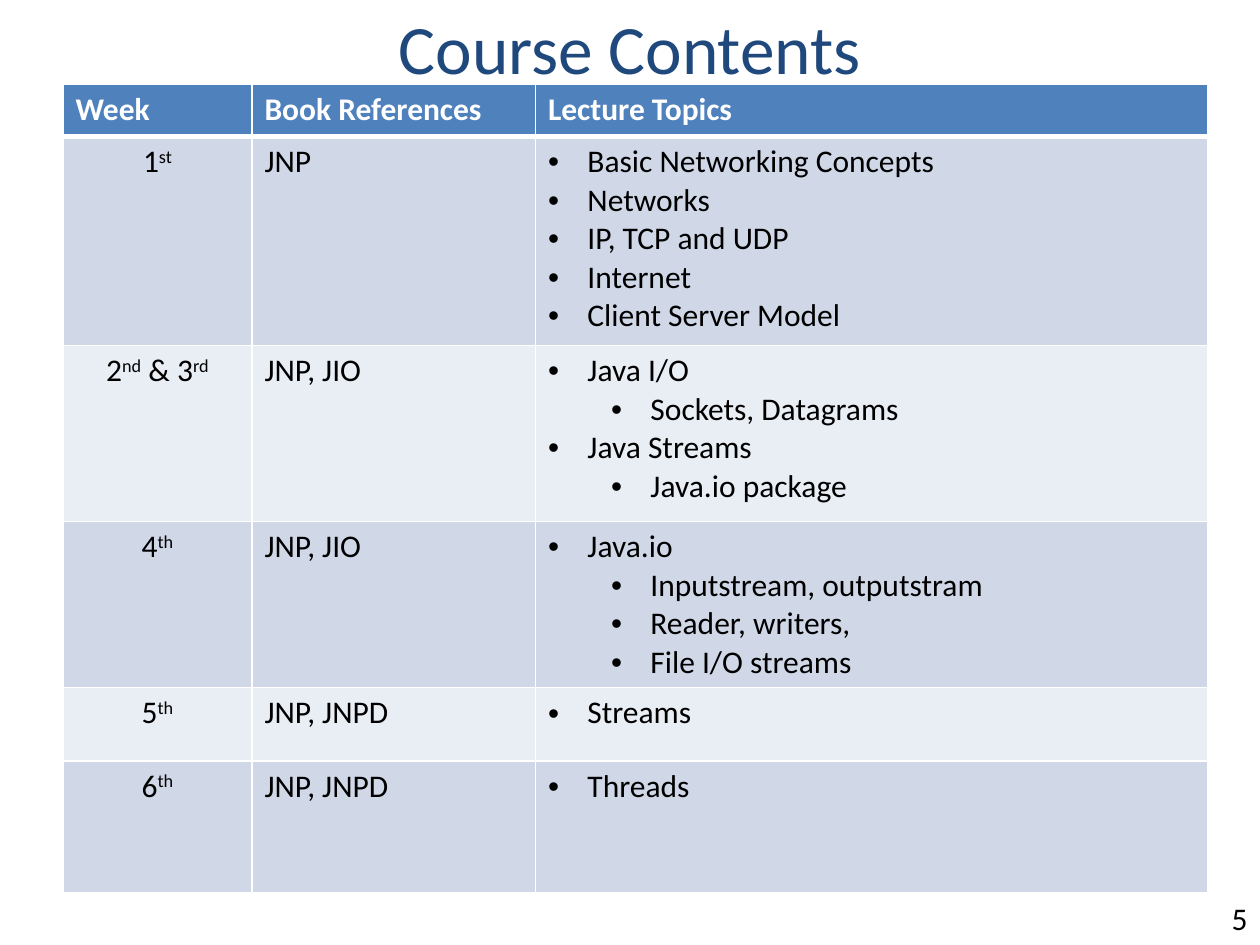
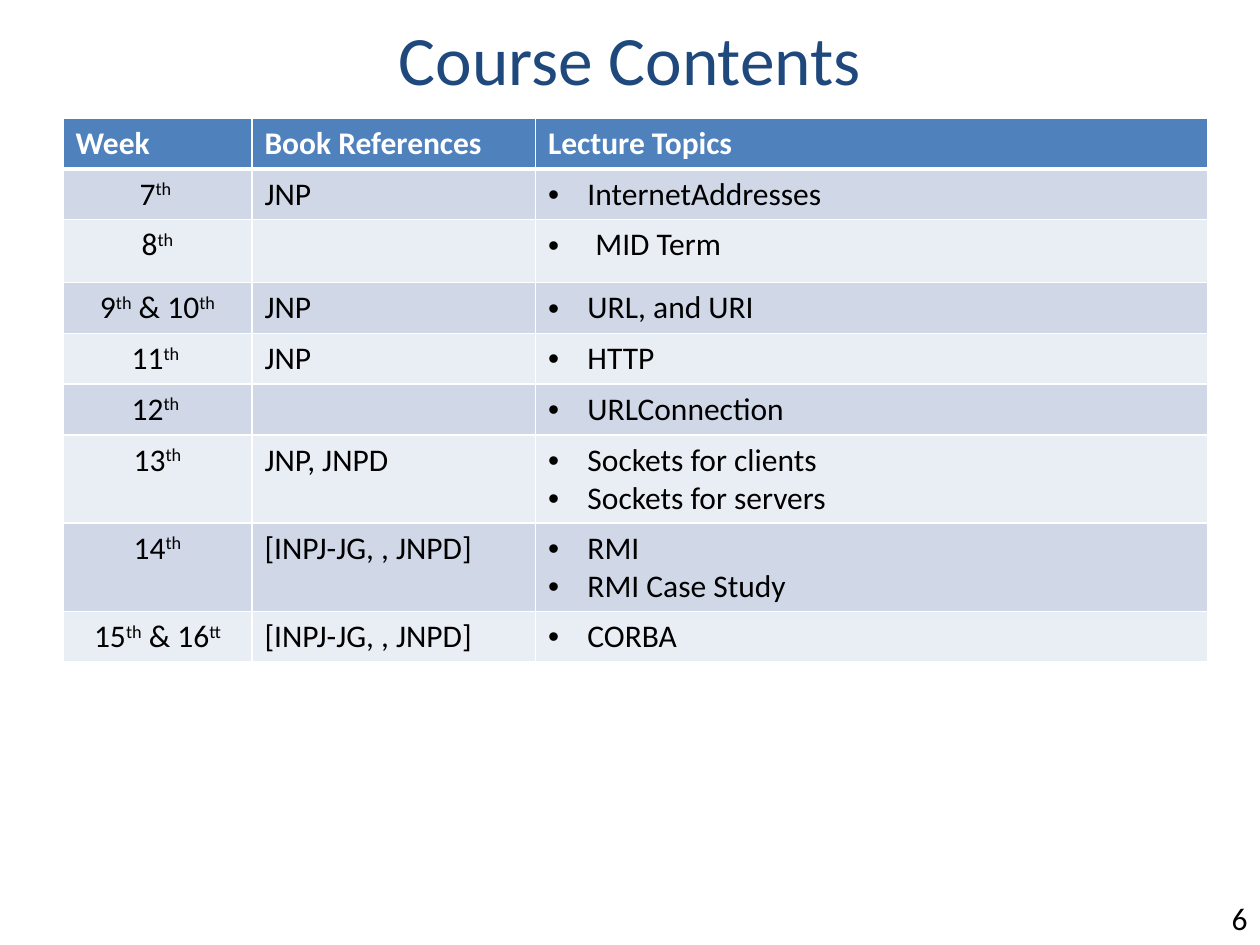
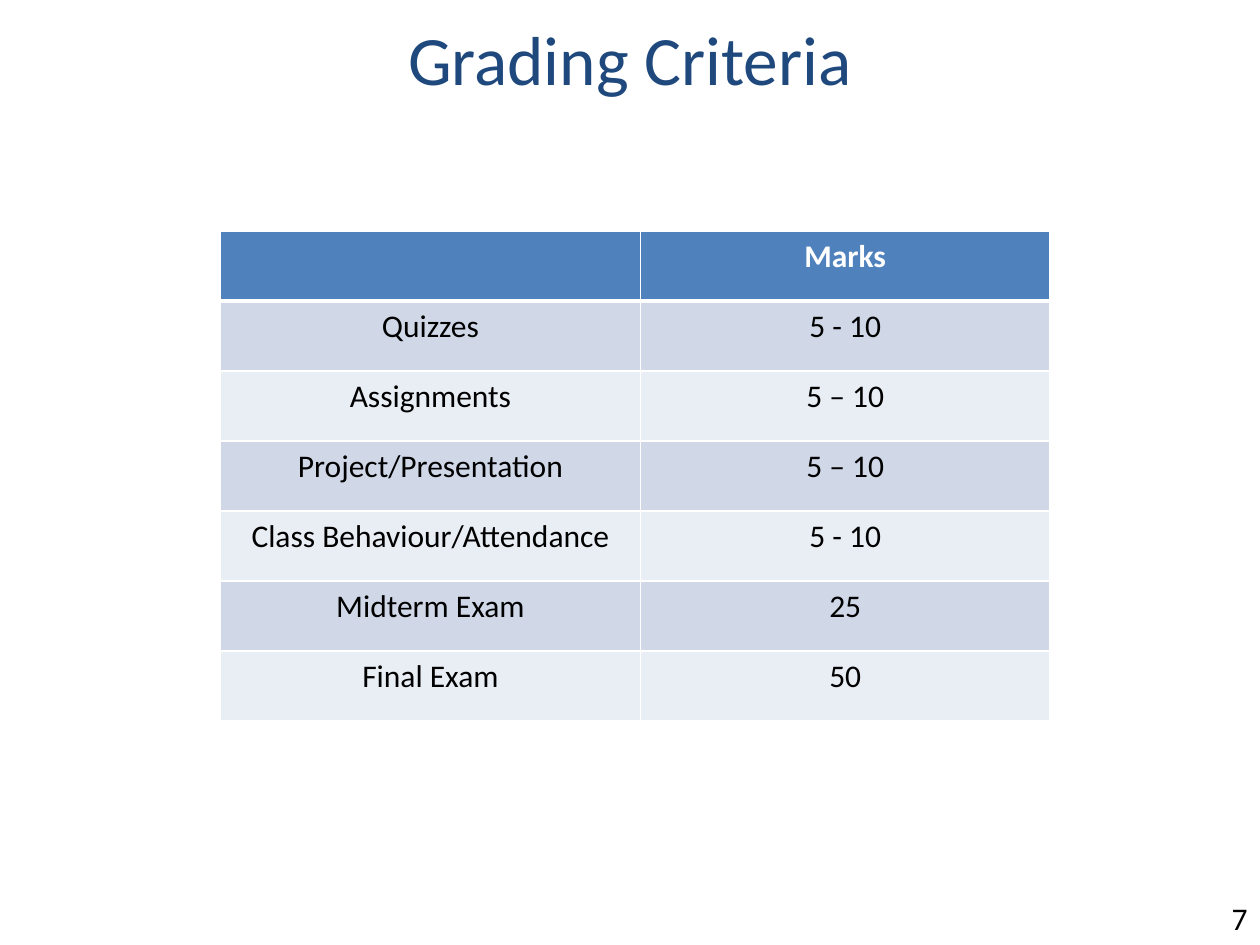
from dataclasses import dataclass
from typing import NamedTuple

from lxml.etree import SubElement
from pptx import Presentation
from pptx.dml.color import RGBColor
from pptx.enum.text import MSO_ANCHOR, PP_ALIGN
from pptx.oxml.ns import qn
from pptx.util import Emu, Pt

SCALE = 6350  # EMU per px, 144 px to the inch


@dataclass(frozen=True)
class Theme:
    font: str = "Calibri"
    title: str = "1F497D"
    text: str = "000000"
    head: str = "4F81BD"
    light: str = "FFFFFF"
    bands: tuple[str, str] = ("D0D8E8", "E9EDF4")
    big: float = 39.6
    small: float = 18
    thin: float = 1
    thick: float = 3


THEME = Theme()


class Box(NamedTuple):
    left: int
    top: int
    width: int
    height: int


class Topic(NamedTuple):
    text: str
    margin: int = 45
    hang: int = 45
    level: int = 0


def sub(text: str) -> Topic:
    return Topic(text, margin=117, level=1)


@dataclass(frozen=True)
class Grid:
    left: int
    top: int
    cols: list[int]
    rows: list[int]
    head: list[str]
    body: list[list]
    aligns: list[PP_ALIGN]
    heads: PP_ALIGN


@dataclass(frozen=True)
class Page:
    number: int
    title: str
    depth: int  # height of the title box
    grid: Grid


def px(size: int) -> Emu:
    return Emu(size * SCALE)


# Text: a pair of ^ marks encloses a superscript
def write(para, text: str, size: float, color: str, bold: bool = False) -> None:
    for i, part in enumerate(text.split("^")):
        if not part:
            continue
        run = para.add_run()
        run.text = part
        font = run.font
        font.name, font.size, font.bold = THEME.font, Pt(size), bold
        font.color.rgb = RGBColor.from_string(color)
        if i % 2:
            run._r.get_or_add_rPr().set("baseline", "30000")


def label(slide, box: Box, text: str, size: float, color: str,
          align: PP_ALIGN, anchor: MSO_ANCHOR) -> None:
    frame = slide.shapes.add_textbox(*map(px, box)).text_frame
    frame.word_wrap = True
    frame.vertical_anchor = anchor
    para = frame.paragraphs[0]
    para.alignment = align
    write(para, text, size, color)


def bullet(para, topic: Topic) -> None:
    para.level = topic.level
    props = para._p.get_or_add_pPr()
    props.set("marL", str(px(topic.margin)))
    props.set("indent", str(px(-topic.hang)))
    SubElement(props, qn("a:buFont"), typeface="Arial")
    SubElement(props, qn("a:buChar"), char="•")


# Table cells
def border(cell, top: float, bottom: float) -> None:
    props = cell._tc.get_or_add_tcPr()
    widths = {"L": THEME.thin, "R": THEME.thin, "T": top, "B": bottom}
    for side, width in widths.items():
        line = SubElement(props, qn(f"a:ln{side}"), w=str(Pt(width)))
        fill = SubElement(line, qn("a:solidFill"))
        SubElement(fill, qn("a:srgbClr"), val=THEME.light)


def fill_cell(cell, value: str | list[Topic], row: int, align: PP_ALIGN) -> None:
    top = THEME.thick if row == 1 else THEME.thin
    bottom = THEME.thick if row == 0 else THEME.thin
    border(cell, top, bottom)
    cell.fill.solid()
    back = THEME.bands[(row - 1) % 2] if row else THEME.head
    cell.fill.fore_color.rgb = RGBColor.from_string(back)
    color = THEME.text if row else THEME.light
    frame = cell.text_frame
    items = [value] if isinstance(value, str) else value
    for i, item in enumerate(items):
        para = frame.add_paragraph() if i else frame.paragraphs[0]
        para.alignment = align
        if isinstance(item, Topic):
            bullet(para, item)
            item = item.text
        write(para, item, THEME.small, color, bold=row == 0)


def draw_grid(slide, grid: Grid) -> None:
    box = Box(grid.left, grid.top, sum(grid.cols), sum(grid.rows))
    table = slide.shapes.add_table(
        len(grid.rows), len(grid.cols), *map(px, box)).table
    for col, width in zip(table.columns, grid.cols):
        col.width = px(width)
    for row, height in zip(table.rows, grid.rows):
        row.height = px(height)
    for r, values in enumerate([grid.head, *grid.body]):
        for c, value in enumerate(values):
            align = grid.aligns[c] if r else grid.heads
            fill_cell(table.cell(r, c), value, r, align)


def draw_page(deck, page: Page) -> None:
    slide = deck.slides.add_slide(deck.slide_layouts[6])
    label(slide, Box(1332, 1020, 108, 60), str(page.number), THEME.small,
          THEME.text, PP_ALIGN.RIGHT, MSO_ANCHOR.TOP)
    label(slide, Box(72, 12, 1296, page.depth), page.title, THEME.big,
          THEME.title, PP_ALIGN.CENTER, MSO_ANCHOR.MIDDLE)
    draw_grid(slide, page.grid)


# Content
def weeks(top: int, rows: list[int], body: list[list]) -> Grid:
    return Grid(72, top, [216, 324, 768], rows,
                ["Week", "Book References", "Lecture Topics"], body,
                [PP_ALIGN.CENTER, PP_ALIGN.LEFT, PP_ALIGN.LEFT], PP_ALIGN.LEFT)


FIRST = weeks(96, [60, 239, 201, 190, 84, 150], [
    ["1^st^", "JNP", [
        Topic("Basic Networking Concepts"), Topic("Networks"),
        Topic("IP, TCP and UDP"), Topic("Internet"),
        Topic("Client Server Model")]],
    ["2^nd^ & 3^rd^", "JNP, JIO", [
        Topic("Java I/O"), sub("Sockets, Datagrams"),
        Topic("Java Streams"), sub("Java.io package")]],
    ["4^th^", "JNP, JIO", [
        Topic("Java.io"), sub("Inputstream, outputstram"),
        sub("Reader, writers,"), sub("File I/O streams")]],
    ["5^th^", "JNP, JNPD", [Topic("Streams")]],
    ["6^th^", "JNP, JNPD", [Topic("Threads")]],
])

SECOND = weeks(135, [58, 58, 72] + [58] * 6, [
    ["7^th ^", "JNP", [Topic("InternetAddresses")]],
    ["8^th^", "", [Topic("MID Term", margin=54, hang=54, level=1)]],
    ["9^th^ & 10^th^", "JNP", [Topic("URL, and URI")]],
    ["11^th ^", "JNP", [Topic("HTTP")]],
    ["12^th ^", "", [Topic("URLConnection")]],
    ["13^th^", "JNP, JNPD", [
        Topic("Sockets for clients"), Topic("Sockets for servers")]],
    ["14^th^", "[INPJ-JG, , JNPD]", [Topic("RMI"), Topic("RMI Case Study")]],
    ["15^th^ & 16^tt^", "[INPJ-JG, , JNPD]", [Topic("CORBA")]],
])

MARKS = Grid(252, 264, [480, 468], [80] * 7, ["", "Marks"], [
    ["Quizzes", "5 - 10"],
    ["Assignments", "5 – 10"],
    ["Project/Presentation", "5 – 10"],
    ["Class Behaviour/Attendance", "5 - 10"],
    ["Midterm Exam", "25"],
    ["Final Exam", "50"],
], [PP_ALIGN.CENTER] * 2, PP_ALIGN.CENTER)

PAGES = [
    Page(5, "Course Contents", 84, FIRST),
    Page(6, "Course Contents", 108, SECOND),
    Page(7, "Grading Criteria", 108, MARKS),
]


def main() -> None:
    deck = Presentation()
    deck.slide_width, deck.slide_height = px(1440), px(1080)
    for page in PAGES:
        draw_page(deck, page)
    deck.save("out.pptx")


if __name__ == "__main__":
    main()
